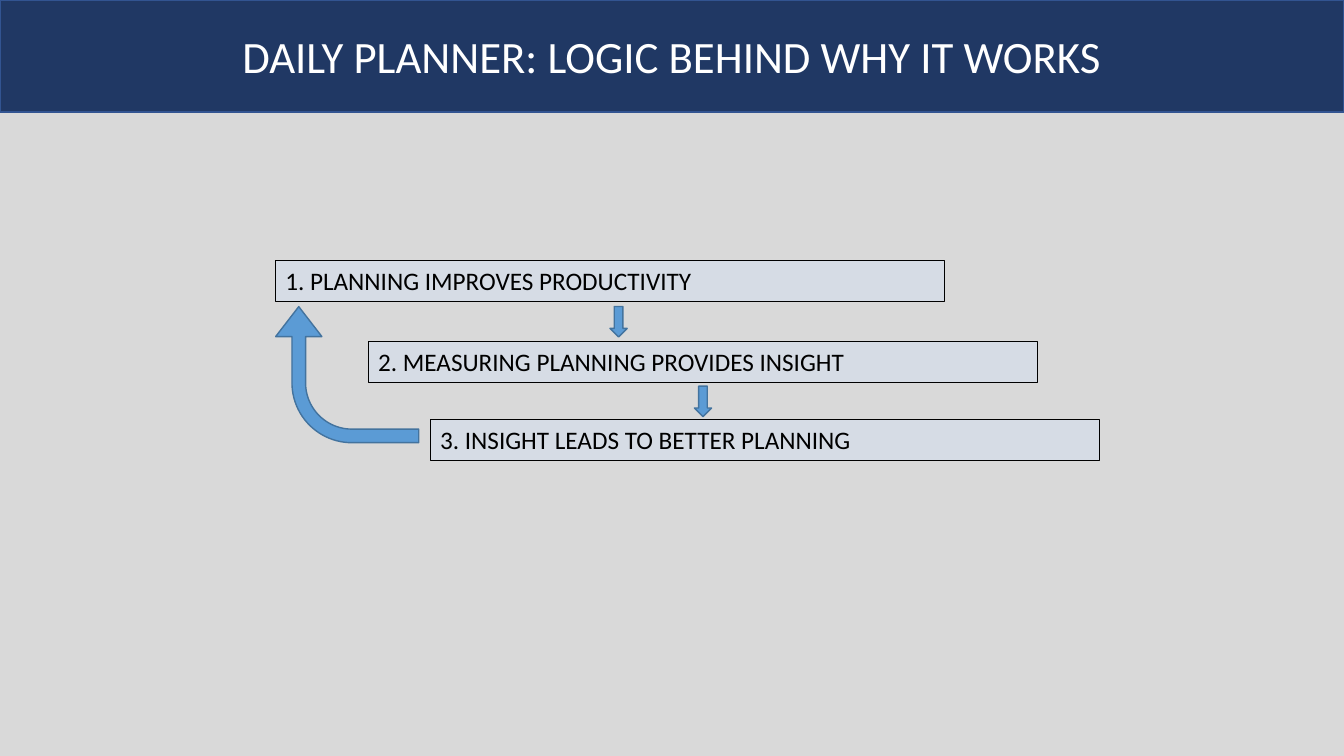
from pptx import Presentation
from pptx import util as u
from pptx.dml.color import RGBColor
from pptx.enum import shapes, text

WHITE = RGBColor(0xFF, 0xFF, 0xFF)
BLACK = RGBColor(0, 0, 0)
GREY = RGBColor(0xD9, 0xD9, 0xD9)
NAVY = RGBColor(0x20, 0x38, 0x64)
NAVY_EDGE = RGBColor(0x32, 0x54, 0x91)
PALE_BLUE = RGBColor(0xD6, 0xDC, 0xE5)
BLUE = RGBColor(0x5B, 0x9B, 0xD5)
BLUE_EDGE = RGBColor(0x43, 0x73, 0x9E)
KIND = shapes.MSO_SHAPE


class PlannerSlide:
    """Draws the elements of one slide in a shared style."""

    font = "Calibri"

    def __init__(self, presentation):
        self.slide = presentation.slides.add_slide(presentation.slide_layouts[6])
        background = self.slide.background.fill
        background.solid()
        background.fore_color.rgb = GREY

    def outline(self, kind, box, fill, line, weight=1):
        shape = self.slide.shapes.add_shape(kind, *map(u.Pt, box))
        shape.shadow.inherit = False
        shape.fill.solid()
        shape.fill.fore_color.rgb = fill
        shape.line.color.rgb = line
        shape.line.width = u.Pt(weight)
        return shape

    def label(self, shape, words, size, color, align, anchor):
        frame = shape.text_frame
        frame.word_wrap = True
        frame.vertical_anchor = anchor
        paragraph = frame.paragraphs[0]
        paragraph.alignment = align
        run = paragraph.add_run()
        run.text = words
        run.font.name = self.font
        run.font.size = u.Pt(size)
        run.font.color.rgb = color

    def banner(self, words, width, height):
        shape = self.outline(KIND.RECTANGLE, (0, 0, width, height), NAVY, NAVY_EDGE)
        self.label(shape, words, 32, WHITE, text.PP_ALIGN.CENTER, text.MSO_ANCHOR.MIDDLE)

    def step(self, words, left, top):
        shape = self.outline(KIND.RECTANGLE, (left, top, 478.2, 29.1), PALE_BLUE, BLACK, 0.75)
        self.label(shape, words, 18, BLACK, text.PP_ALIGN.LEFT, text.MSO_ANCHOR.TOP)
        shape.text_frame.auto_size = text.MSO_AUTO_SIZE.SHAPE_TO_FIT_TEXT

    def down_arrow(self, left, top):
        self.outline(KIND.DOWN_ARROW, (left, top, 12.3, 21.8), BLUE, BLUE_EDGE)

    def return_arrow(self, box, adjustments):
        shape = self.outline(KIND.BENT_ARROW, box, BLUE, BLUE_EDGE)
        shape.rotation = 270
        for index, value in enumerate(adjustments):
            shape.adjustments[index] = value


def main():
    presentation = Presentation()
    presentation.slide_width = u.Pt(960)
    presentation.slide_height = u.Pt(540)
    planner = PlannerSlide(presentation)
    planner.banner("DAILY PLANNER: LOGIC BEHIND WHY IT WORKS", 960, 80)
    steps = [
        ("1. PLANNING IMPROVES PRODUCTIVITY", 196.7, 186.2),
        ("2. MEASURING PLANNING PROVIDES INSIGHT", 263, 243.9),
        ("3. INSIGHT LEADS TO BETTER PLANNING", 307.3, 299.8),
    ]
    for words, left, top in steps:
        planner.step(words, left, top)
    for left, top in [(435.7, 218.9), (496, 275.8)]:
        planner.down_arrow(left, top)
    planner.return_arrow((199.4, 216.5, 97.2, 102.2), (0.1, 0.17, 0.22, 0.44))
    presentation.save("out.pptx")


if __name__ == "__main__":
    main()
